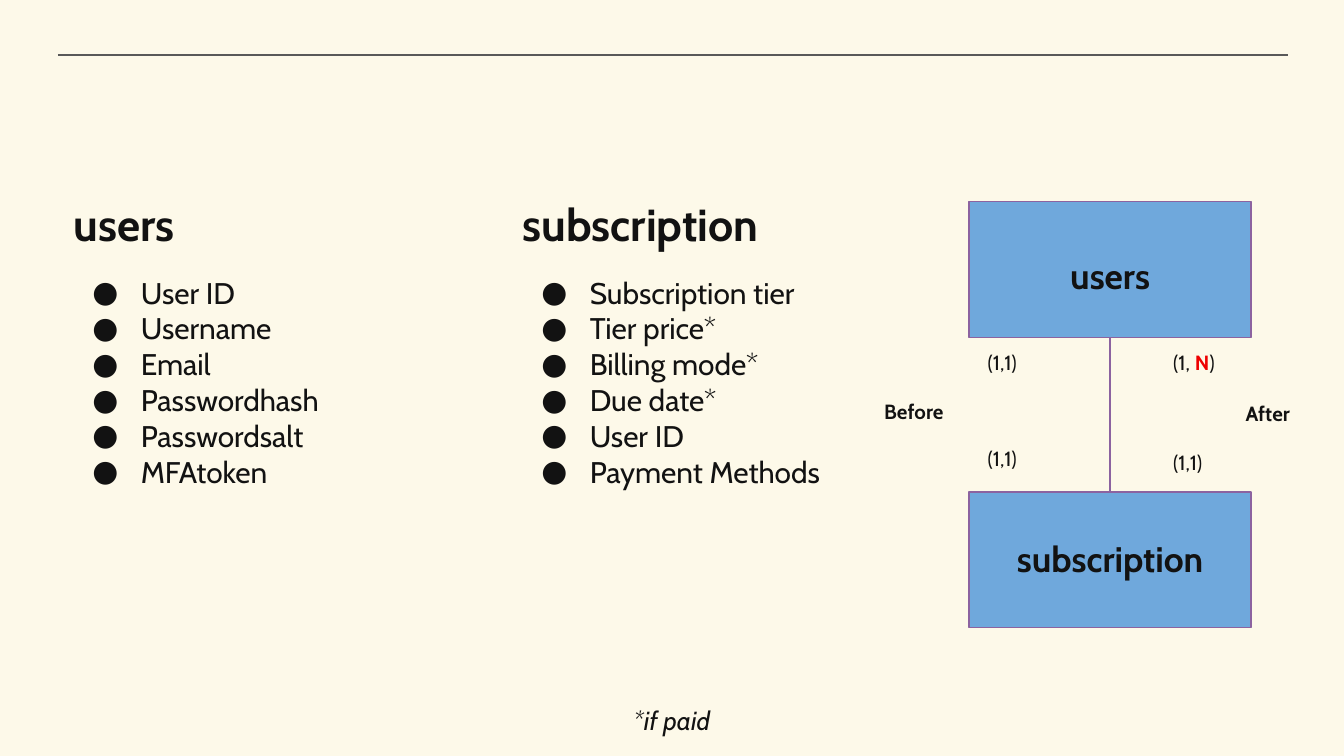
from dataclasses import dataclass

from lxml.etree import SubElement
from pptx import Presentation
from pptx.dml.color import RGBColor
from pptx.enum.shapes import MSO_CONNECTOR, MSO_SHAPE
from pptx.enum.text import MSO_ANCHOR, PP_ALIGN
from pptx.oxml.ns import qn
from pptx.util import Inches, Pt


@dataclass(frozen=True)
class Theme:
    font: str = "Cabin"
    bullet_font: str = "Cabin"
    paper: str = "FDF9E9"
    ink: str = "121212"
    accent: str = "EE0000"
    rule: str = "595959"
    entity: str = "6FA8DC"
    border: str = "8C63A0"
    heading: int = 24
    entity_name: int = 19
    item: int = 16
    note: int = 14
    label: int = 11
    line: float = 0.75


THEME = Theme()
WIDTH = Inches(10)
HEIGHT = WIDTH * 9 // 16
UNIT = WIDTH / 100  # square grid cell: 100 columns across the slide
INSET = Inches(0.1)

LIST_TOP, LIST_WIDTH, LIST_HEIGHT = 13.6, 31, 33.2
ENTITY_LEFT, ENTITY_WIDTH, ENTITY_HEIGHT = 72.1, 21, 10.1

TABLES = [
    (37.9, "subscription", ["Subscription tier", "Tier price*", "Billing mode*",
                            "Due date*", "User ID", "Payment Methods"]),
    (4.5, "users", ["User ID", "Username", "Email",
                    "Passwordhash", "Passwordsalt", "MFAtoken"]),
]
# name, top of the rectangle, top of its name
ENTITIES = [("users", 15, 17.9), ("subscription", 36.6, 39)]
# left, top, width, height, spans of (text, format)
LABELS = [
    (72.5, 25.1, 6.4, 2.6, [("(1,1)", {})]),
    (72.5, 32.5, 7.4, 1.6, [("(1,1)", {})]),
    (86.3, 25.1, 6.4, 2.6, [("(1, ", {}), ("N", {"bold": True, "color": THEME.accent}),
                            (")", {})]),
    (86.3, 32.6, 6.4, 2.6, [("(1,1)", {})]),
    (64.8, 28.8, 14.1, 2.6, [("Before", {"bold": True})]),
    (91.7, 28.9, 7.4, 2.6, [("After", {"bold": True})]),
]


def cells(*counts):
    """Turn grid counts into lengths."""
    return [round(count * UNIT) for count in counts]


def set_all(target, values):
    for name, value in values.items():
        setattr(target, name, value)


def add_span(para, text, size, color=THEME.ink, **style):
    span = para.add_run()
    span.text = text
    set_all(span.font, {"name": THEME.font, "size": Pt(size), **style})
    span.font.color.rgb = RGBColor.from_string(color)


def add_text_frame(page, left, top, width, height):
    frame = page.shapes.add_textbox(*cells(left, top, width, height)).text_frame
    set_all(frame, {"word_wrap": True, "vertical_anchor": MSO_ANCHOR.TOP,
                    "margin_left": INSET, "margin_right": INSET,
                    "margin_top": INSET, "margin_bottom": INSET})
    return frame


def add_text(page, area, spans, size, align=PP_ALIGN.LEFT):
    para = add_text_frame(page, *area).paragraphs[0]
    para.alignment = align
    for text, style in spans:
        add_span(para, text, size, **style)


def add_bullet(para):
    properties = para._p.get_or_add_pPr()
    properties.set("marL", str(Inches(0.5)))
    properties.set("indent", str(Inches(-0.36)))
    color = SubElement(properties, qn("a:buClr"))
    SubElement(color, qn("a:srgbClr"), val=THEME.ink)
    SubElement(properties, qn("a:buSzPts"), val=str(THEME.item * 100))
    SubElement(properties, qn("a:buFont"), typeface=THEME.bullet_font)
    SubElement(properties, qn("a:buChar"), char="●")


def add_field_list(page, left, heading, fields):
    frame = add_text_frame(page, left, LIST_TOP, LIST_WIDTH, LIST_HEIGHT)
    title = frame.paragraphs[0]
    title.space_after = Pt(13)
    add_span(title, heading, THEME.heading, bold=True)
    for field in fields:
        para = frame.add_paragraph()
        add_bullet(para)
        add_span(para, field, THEME.item)


def add_line(page, start, end, color):
    line = page.shapes.add_connector(MSO_CONNECTOR.STRAIGHT, *cells(*start, *end))
    line.line.width = Pt(THEME.line)
    line.line.color.rgb = RGBColor.from_string(color)
    SubElement(line._element.spPr, qn("a:effectLst"))


def add_entity(page, top):
    box = page.shapes.add_shape(
        MSO_SHAPE.RECTANGLE, *cells(ENTITY_LEFT, top, ENTITY_WIDTH, ENTITY_HEIGHT))
    box.shadow.inherit = False
    box.fill.solid()
    box.fill.fore_color.rgb = RGBColor.from_string(THEME.entity)
    box.line.width = Pt(THEME.line)
    box.line.color.rgb = RGBColor.from_string(THEME.border)


def add_relationship(page):
    """Draw the two entities, the line between them and its cardinalities."""
    for _, top, _ in ENTITIES:
        add_entity(page, top)
    middle = ENTITY_LEFT + ENTITY_WIDTH / 2
    upper, lower = [top for _, top, _ in ENTITIES]
    add_line(page, (middle, upper + ENTITY_HEIGHT), (middle, lower), THEME.border)


def add_relationship_text(page):
    for name, _, name_top in ENTITIES:
        add_text(page, (72.9, name_top, 19.4, 8.7), [(name, {"bold": True})],
                 THEME.entity_name, PP_ALIGN.CENTER)
    for *area, spans in LABELS:
        add_text(page, area, spans, THEME.label)


def main():
    deck = Presentation()
    set_all(deck, {"slide_width": WIDTH, "slide_height": HEIGHT})
    page = deck.slides.add_slide(deck.slide_layouts[6])
    page.background.fill.solid()
    page.background.fill.fore_color.rgb = RGBColor.from_string(THEME.paper)

    add_line(page, (4.3, 4.1), (95.8, 4.1), THEME.rule)
    for left, heading, fields in TABLES:
        add_field_list(page, left, heading, fields)
    add_relationship(page)
    add_text(page, (0, 51.4, 100, 4.8), [("*if paid", {"italic": True})],
             THEME.note, PP_ALIGN.CENTER)
    add_relationship_text(page)
    deck.save("out.pptx")


if __name__ == "__main__":
    main()
